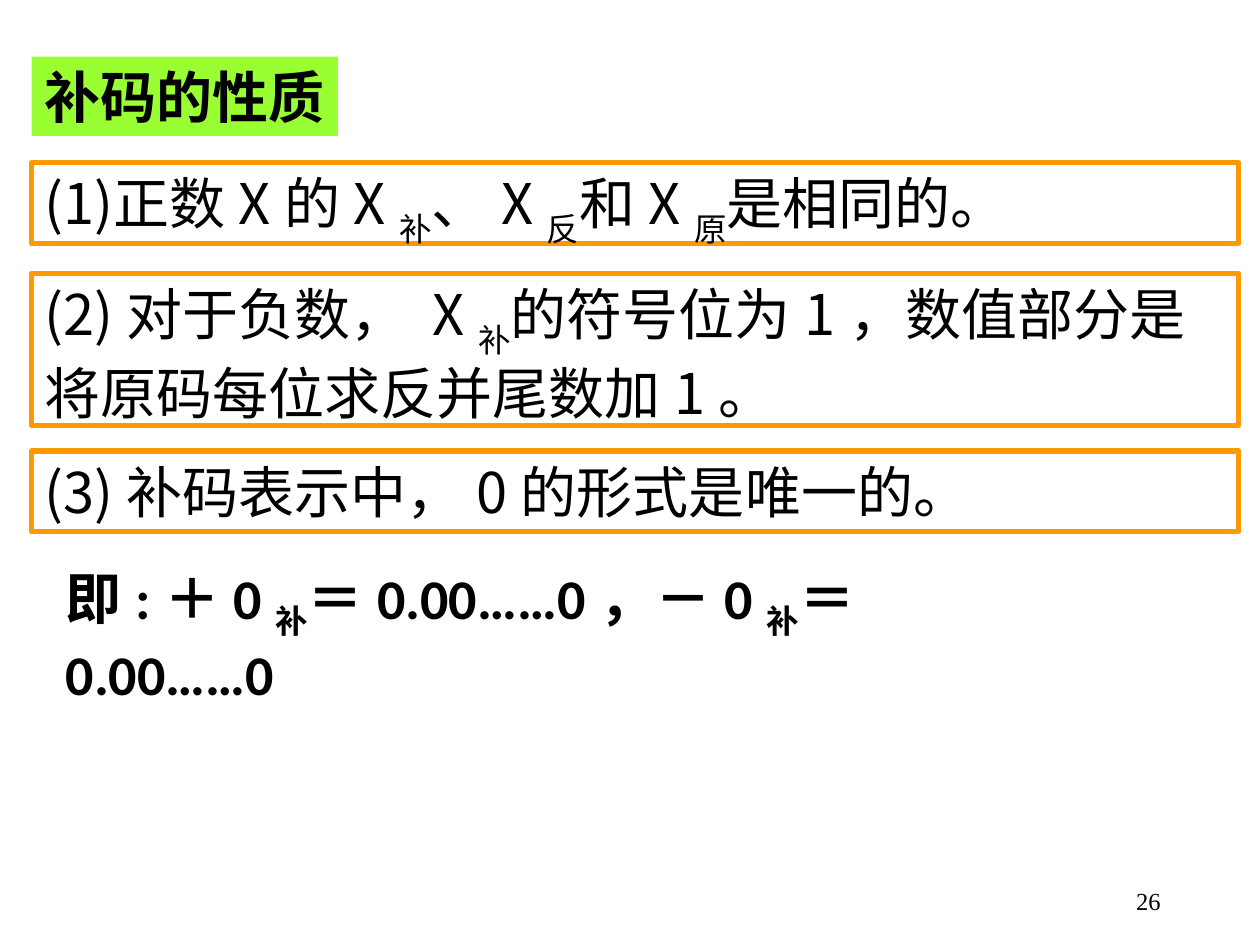
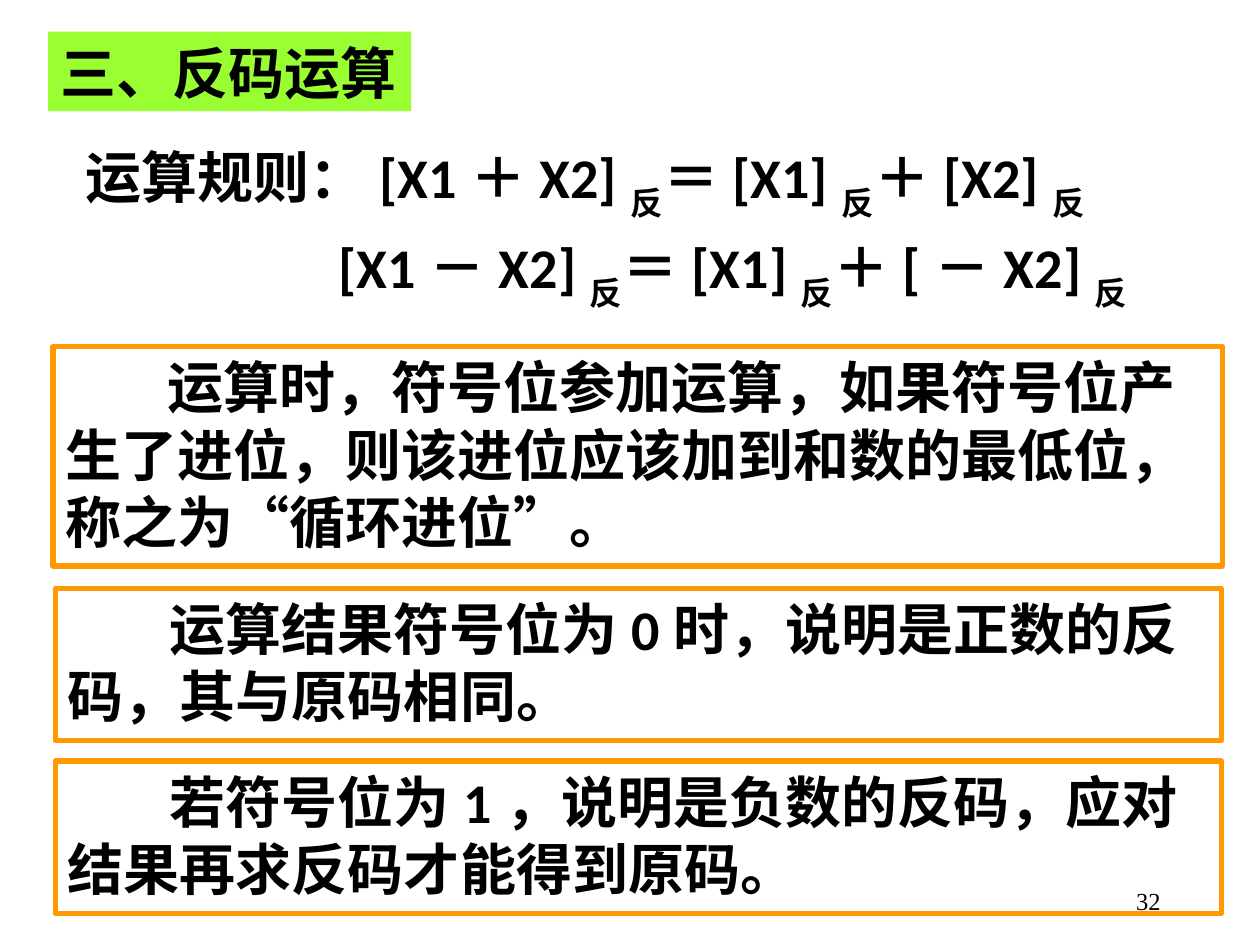
from dataclasses import dataclass

from lxml import etree
from pptx import Presentation
from pptx.dml.color import RGBColor
from pptx.enum.shapes import MSO_SHAPE
from pptx.enum.text import MSO_ANCHOR, MSO_AUTO_SIZE, PP_ALIGN
from pptx.oxml.ns import qn
from pptx.util import Cm, Pt

RECTANGLE = MSO_SHAPE.RECTANGLE
TOP, MIDDLE = MSO_ANCHOR.TOP, MSO_ANCHOR.MIDDLE
LEFT, RIGHT = PP_ALIGN.LEFT, PP_ALIGN.RIGHT
NO_AUTOFIT = MSO_AUTO_SIZE.NONE


@dataclass(frozen=True)
class Theme:
    ink: RGBColor = RGBColor(0x00, 0x00, 0x00)
    heading_fill: RGBColor = RGBColor(0x99, 0xFF, 0x33)
    frame: RGBColor = RGBColor(0xFF, 0x99, 0x00)
    frame_width: int = Pt(3)
    text_size: int = Pt(32)
    number_size: int = Pt(14)
    rule_gap: int = Pt(6.4)
    latin: str = "Calibri"
    chinese: str = "Noto Sans CJK SC"
    heading_latin: str = "Montserrat"
    number_font: str = "Times New Roman"


THEME = Theme()


def write(paragraph, text, font=THEME.latin, size=THEME.text_size, bold=True,
          align=LEFT, margin=0, indent=0, numbering=None, before=0, subscript=-30):
    """Write text in which every second part between bars is a subscript."""
    properties = paragraph._p.get_or_add_pPr()
    properties.set("marL", str(Cm(margin)))
    properties.set("indent", str(Cm(indent)))
    if numbering:
        etree.SubElement(properties, qn("a:buAutoNum"), type=numbering)
    else:
        etree.SubElement(properties, qn("a:buNone"))
    paragraph.alignment = align
    paragraph.space_before = before
    for position, part in enumerate(text.split("|")):
        if not part:
            continue
        run = paragraph.add_run()
        run.text = part
        run.font.name = font
        run.font.size = size
        run.font.bold = bold
        run.font.color.rgb = THEME.ink
        run_properties = run._r.get_or_add_rPr()
        etree.SubElement(run_properties, qn("a:ea"), typeface=THEME.chinese)
        if position % 2:
            run_properties.set("baseline", str(subscript * 1000))


def place(part, left, top, width, height, anchor=TOP, wrap=True):
    part.left, part.top, part.width, part.height = map(Cm, (left, top, width, height))
    frame = part.text_frame
    frame.auto_size = NO_AUTOFIT
    frame.word_wrap = wrap
    frame.vertical_anchor = anchor
    return frame.paragraphs[0]


plain = dict(font=THEME.chinese, bold=False)
numbered = dict(plain, margin=1.27, indent=-1.27, numbering="arabicParenBoth")
opening = dict(indent=2.05)

slides = [
    dict(
        number="26",
        heading=("补码的性质", THEME.latin, (0.64, 1.14, 6.17, 1.6)),
        body_area=(1.07, 11.23, 18.82, 1.63),
        body=[("即:＋0|补|＝0.00……0，－0|补|＝0.00……0", dict(subscript=-25))],
        statements=[
            ("正数X的X|补|、X|反|和X|原|是相同的。", numbered, (0.64, 3.28, 24.33, 1.63)),
            ("(2)对于负数， X|补|的符号位为1，数值部分是将原码每位求反并尾数加1。",
             plain, (0.64, 5.51, 24.33, 3.07)),
            ("(3)补码表示中，0的形式是唯一的。", plain, (0.64, 9.09, 24.33, 1.63)),
        ],
    ),
    dict(
        number="32",
        heading=("三、反码运算", THEME.heading_latin, (0.97, 0.64, 7.32, 1.6)),
        body_area=(1.47, 2.74, 22.86, 3.28),
        body=[
            ("运算规则：[X1＋X2]|反|＝[X1]|反|＋[X2]|反", {}),
            ("[X1－X2]|反|＝[X1]|反|＋[－X2]|反", dict(indent=5.1, before=THEME.rule_gap)),
        ],
        statements=[
            ("运算时，符号位参加运算，如果符号位产生了进位，则该进位应该加到和数的最低位，称之为“循环进位”。",
             opening, (1.07, 6.99, 23.57, 4.42)),
            ("运算结果符号位为0时，说明是正数的反码，其与原码相同。",
             opening, (1.12, 11.86, 23.5, 3.07)),
            ("若符号位为1，说明是负数的反码，应对结果再求反码才能得到原码。",
             opening, (1.12, 15.34, 23.5, 3.07)),
        ],
    ),
]

deck = Presentation()
deck.slide_width, deck.slide_height = Cm(25.4), Cm(19.05)
title_and_content = deck.slide_layouts[1]

for content in slides:
    slide = deck.slides.add_slide(title_and_content)

    heading_text, heading_font, heading_area = content["heading"]
    heading = slide.shapes.title
    heading.fill.solid()
    heading.fill.fore_color.rgb = THEME.heading_fill
    write(place(heading, *heading_area, wrap=False), heading_text, font=heading_font)

    formulas = slide.placeholders[1]
    paragraph = place(formulas, *content["body_area"])
    for index, (formula, style) in enumerate(content["body"]):
        if index:
            paragraph = formulas.text_frame.add_paragraph()
        write(paragraph, formula, **style)

    for statement, style, area in content["statements"]:
        statement_box = slide.shapes.add_shape(RECTANGLE, *map(Cm, area))
        statement_box.shadow.inherit = False
        statement_box.fill.background()
        statement_box.line.color.rgb = THEME.frame
        statement_box.line.width = THEME.frame_width
        write(place(statement_box, *area), statement, **style)

    number_area = (17.93, 17.65, 5.72, 1.02)
    page_number = slide.shapes.add_textbox(*map(Cm, number_area))
    write(place(page_number, *number_area, anchor=MIDDLE), content["number"],
          font=THEME.number_font, size=THEME.number_size, bold=False, align=RIGHT)

deck.save("out.pptx")
